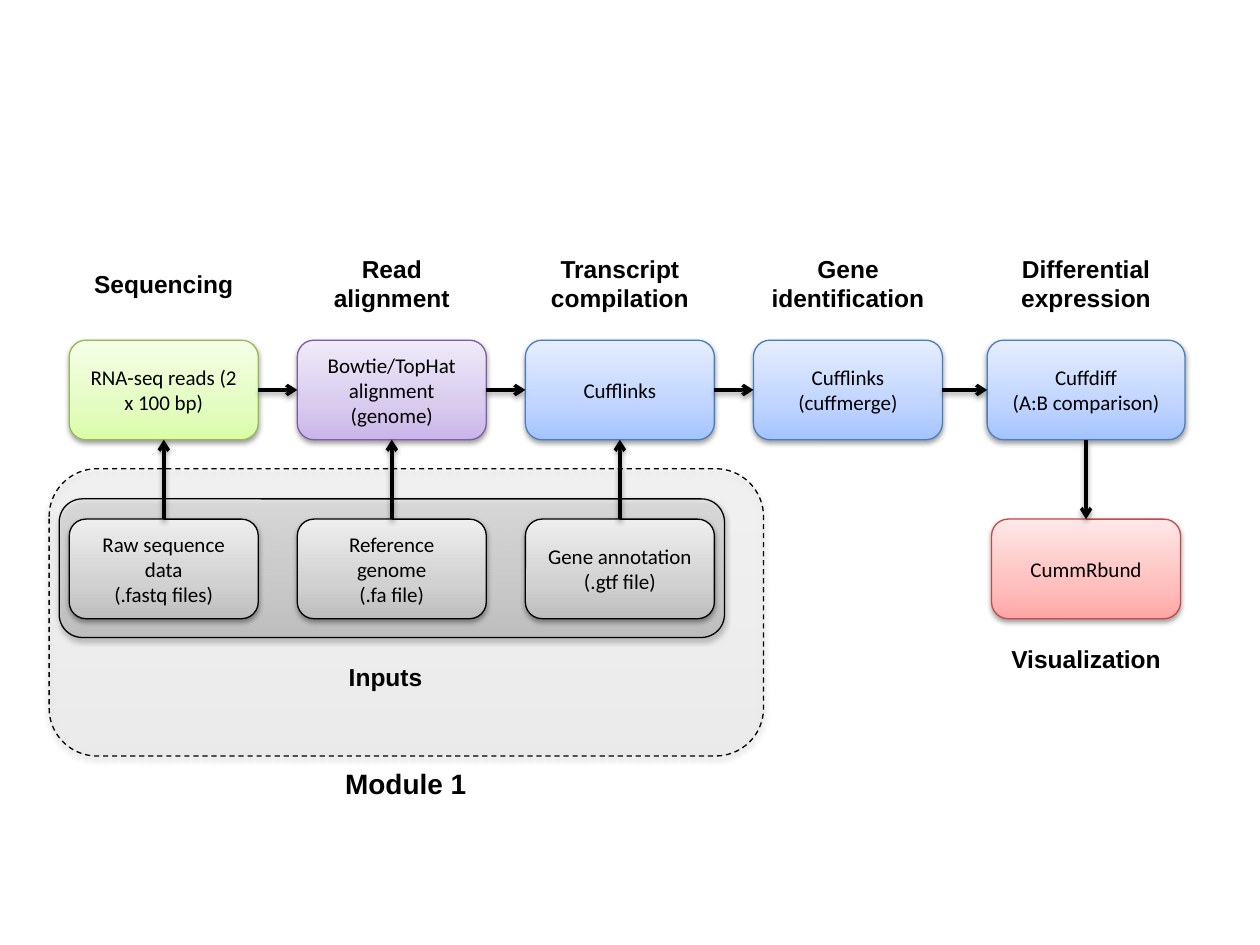
from lxml import etree
from pptx import Presentation
from pptx import util as u
from pptx.dml.color import RGBColor
from pptx.enum import dml, shapes, text
from pptx.oxml import parse_xml
from pptx.oxml.ns import nsdecls, qn

BLACK = "000000"
PALETTES = {
    "green": (("DAFDA7", "E4FCC2", "F5FFE7"), "98B955"),
    "purple": (("C9B5E8", "D8CBEE", "F0EAF9"), "7D60A0"),
    "blue": (("A4C4FF", "BFD4FF", "E6EEFF"), "4B7EBC"),
    "red": (("FFA6A5", "FFC0BF", "FFE7E7"), "BF4C48"),
    "grey": (("BDBDBD", "D1D1D1", "EEEEEE"), BLACK),
}
STOPS = (0, 35, 100)

CENTERS = (1.3, 3.11, 4.92, 6.73, 8.62)
BOX_WIDTH, BOX_HEIGHT = 1.5, 0.79
STEP_TOP, INPUT_TOP = 2.7, 4.12
HEADING_MIDDLE = 2.25

STEPS = [
    ("Sequencing", 1.81, ["RNA-seq reads (2 x 100 bp)"], "green", BOX_WIDTH),
    ("Read alignment", 1.36, ["Bowtie/TopHat alignment (genome)"], "purple", BOX_WIDTH),
    ("Transcript compilation", 1.81, ["Cufflinks"], "blue", BOX_WIDTH),
    ("Gene identification", 1.81, ["Cufflinks (cuffmerge)"], "blue", BOX_WIDTH),
    ("Differential expression", 1.81, ["Cuffdiff", "(A:B comparison)"], "blue", 1.57),
]
INPUTS = [
    ["Raw sequence data", "(.fastq files)"],
    ["Reference genome", "(.fa file)"],
    ["Gene annotation", "(.gtf file)"],
]
PANELS = [
    ((0.39, 3.72, 5.67, 2.28), 13, True),
    ((0.47, 3.96, 5.28, 1.1), 51, False),
]
CAPTIONS = [
    ("Visualization", CENTERS[-1], 5.23, 14),
    ("Inputs", 3.06, 5.37, 14),
    ("Module 1", 3.22, 6.22, 16),
]


def color(value):
    return RGBColor.from_string(value)


def add_shadow(shape):
    shape._element.spPr.append(parse_xml(
        f'<a:effectLst {nsdecls("a")}><a:outerShdw blurRad="40000" dist="20000" '
        'dir="5400000" rotWithShape="0"><a:srgbClr val="000000">'
        '<a:alpha val="38000"/></a:srgbClr></a:outerShdw></a:effectLst>'))


def fill_gradient(shape, colors, opacity):
    shape.fill.gradient()
    shape.fill.gradient_angle = 90
    stops = shape._element.spPr.find(".//" + qn("a:gsLst"))
    stops.clear()
    for position, value in zip(STOPS, colors):
        stop = etree.SubElement(stops, qn("a:gs"), pos=str(position * 1000))
        shade = etree.SubElement(stop, qn("a:srgbClr"), val=value)
        if opacity < 100:
            etree.SubElement(shade, qn("a:alpha"), val=str(opacity * 1000))


def write(shape, lines, font, size, bold=False):
    frame = shape.text_frame
    frame.word_wrap = True
    frame.vertical_anchor = text.MSO_ANCHOR.MIDDLE
    frame.text = "\n".join(lines)
    for para in frame.paragraphs:
        para.alignment = text.PP_ALIGN.CENTER
        para.font.name = font
        para.font.size = u.Pt(size)
        para.font.bold = bold
        para.font.color.rgb = color(BLACK)


def add_panel(page, area, palette, opacity=100, dashed=False):
    panel = page.shapes.add_shape(
        shapes.MSO_SHAPE.ROUNDED_RECTANGLE, *map(u.Inches, area))
    colors, outline = PALETTES[palette]
    fill_gradient(panel, colors, opacity)
    panel.line.color.rgb = color(outline)
    panel.line.width = u.Pt(0.75)
    if dashed:
        panel.line.dash_style = dml.MSO_LINE.DASH
    add_shadow(panel)
    return panel


def add_box(page, center, top, lines, palette, width=BOX_WIDTH):
    box = add_panel(page, (center - width / 2, top, width, BOX_HEIGHT), palette)
    write(box, lines, "Calibri", 12)
    return box


def add_label(page, words, center, middle, size=14, width=1.81, height=0.57):
    area = (center - width / 2, middle - height / 2, width, height)
    label = page.shapes.add_textbox(*map(u.Inches, area))
    write(label, [words], "Arial", size, bold=True)


def add_arrow(page, start, start_side, end, end_side):
    arrow = page.shapes.add_connector(shapes.MSO_CONNECTOR.STRAIGHT, 0, 0, 0, 0)
    arrow.begin_connect(start, start_side)
    arrow.end_connect(end, end_side)
    arrow.line.color.rgb = color(BLACK)
    arrow.line.width = u.Pt(2)
    etree.SubElement(arrow.line._get_or_add_ln(), qn("a:tailEnd"), type="arrow")
    add_shadow(arrow)


def main():
    deck = Presentation()
    deck.slide_width, deck.slide_height = u.Inches(10), u.Inches(7.5)
    page = deck.slides.add_slide(deck.slide_layouts[6])

    for area, opacity, dashed in PANELS:
        add_panel(page, area, "grey", opacity, dashed)

    steps = []
    for center, (heading, span, lines, palette, width) in zip(CENTERS, STEPS):
        steps.append(add_box(page, center, STEP_TOP, lines, palette, width))
        add_label(page, heading, center, HEADING_MIDDLE, width=span)
    inputs = [add_box(page, center, INPUT_TOP, lines, "grey")
              for center, lines in zip(CENTERS, INPUTS)]
    result = add_box(page, CENTERS[-1], INPUT_TOP, ["CummRbund"], "red")

    for words, center, middle, size in CAPTIONS:
        add_label(page, words, center, middle, size, height=0.35)

    for left, right in zip(steps, steps[1:]):
        add_arrow(page, left, 3, right, 1)
    for source, step in zip(inputs, steps):
        add_arrow(page, source, 0, step, 2)
    add_arrow(page, steps[-1], 2, result, 0)

    deck.save("out.pptx")


if __name__ == "__main__":
    main()
